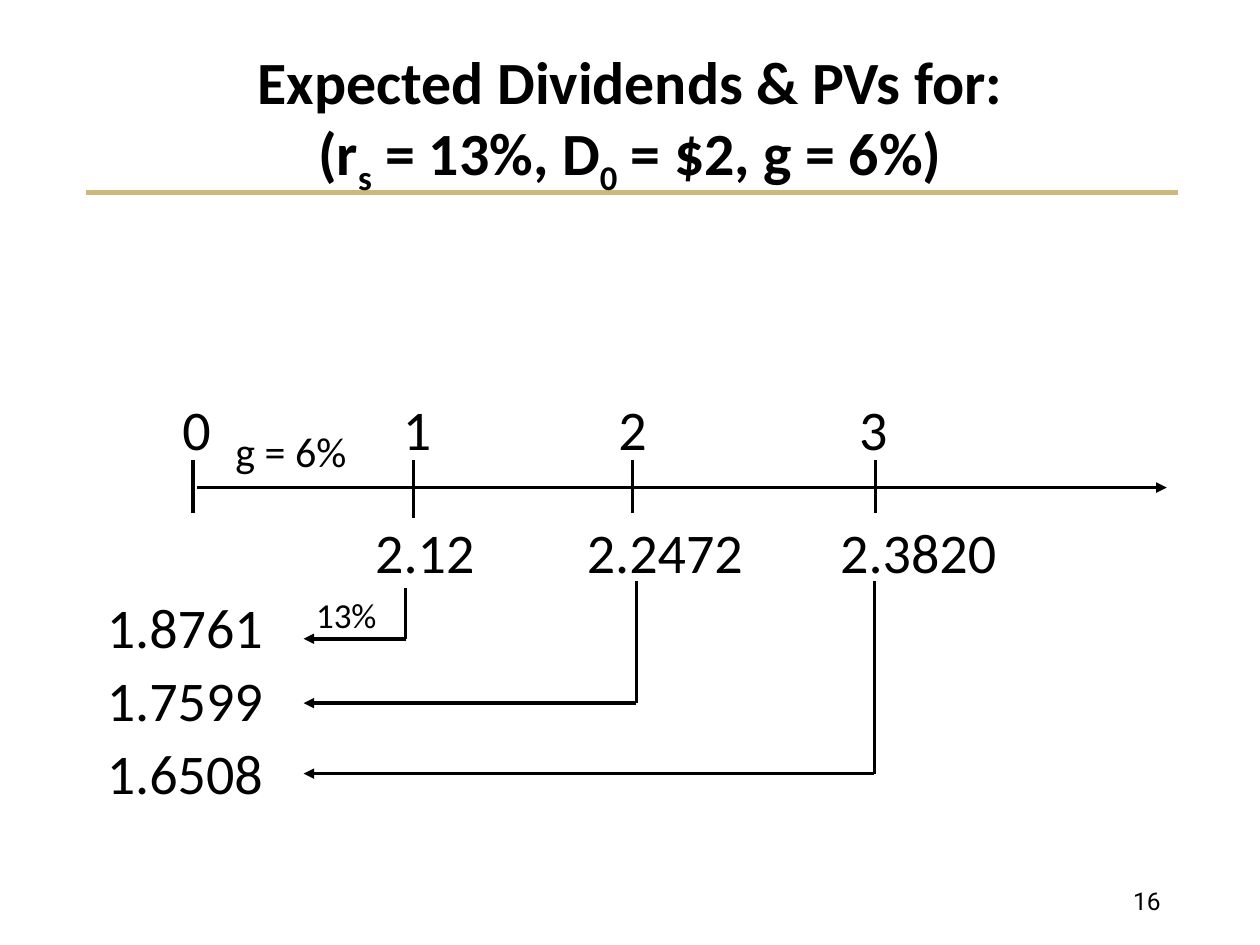
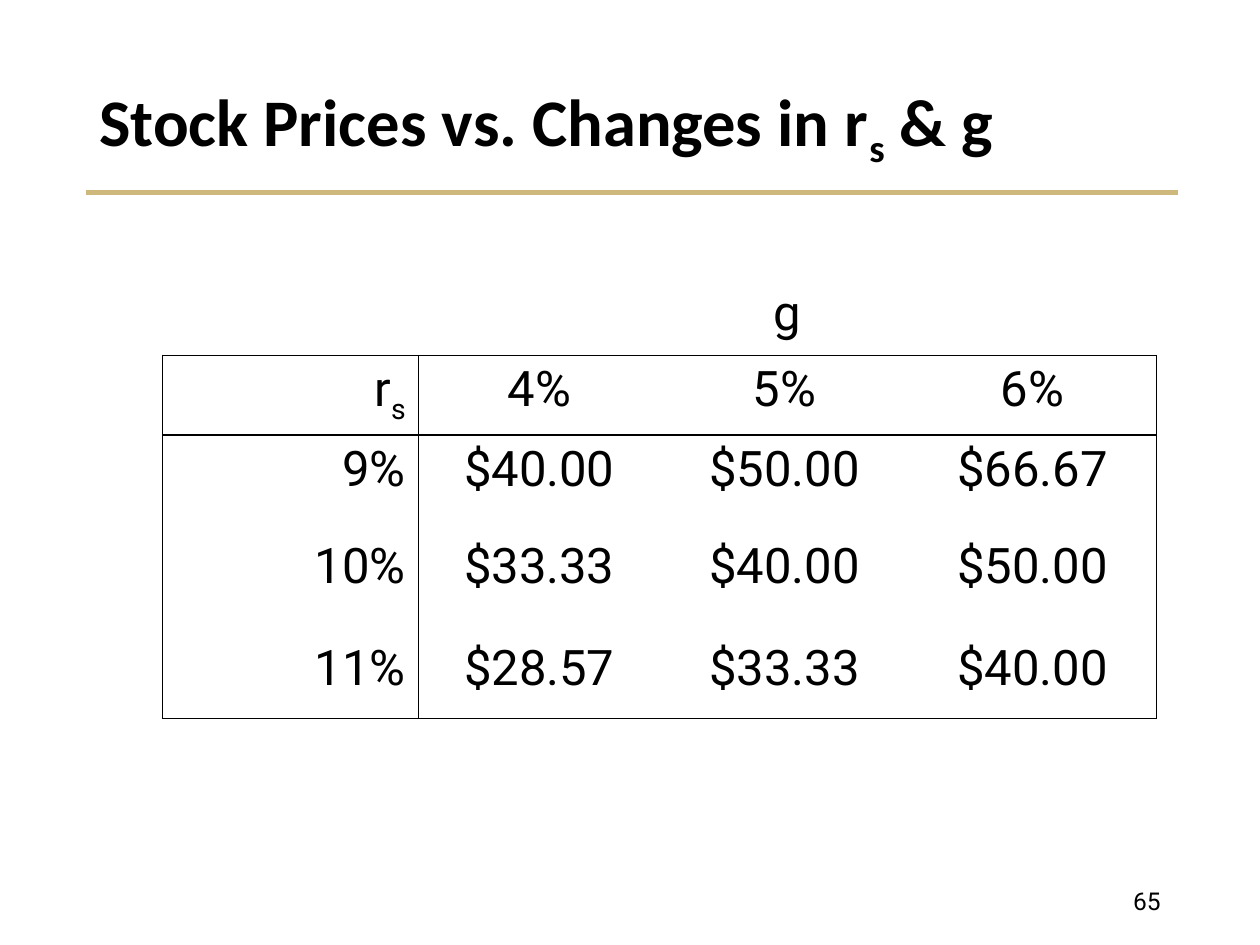
from pptx import Presentation
from pptx.dml.color import RGBColor
from pptx.enum.shapes import MSO_CONNECTOR as Connector
from pptx.enum.text import MSO_ANCHOR as Anchor, PP_ALIGN as Align
from pptx.oxml.ns import qn
from pptx.util import Inches, Pt
from lxml.etree import SubElement, Element

COLORS = {"ink": "000000", "gold": "CFB87C"}
HEADING, BODY = "Calibri", "Roboto"


class Deck:
    """Shared style plus the slide being built."""

    def __init__(self):
        self.prs = Presentation()
        self.prs.slide_width, self.prs.slide_height = Inches(10), Inches(7.5)
        self.slide = None

    def new_slide(self, title, size, number, align=Align.LEFT):
        self.slide = self.prs.slides.add_slide(self.prs.slide_layouts[6])
        self.line((0.68, 1.53), (9.35, 1.53), "gold", 3)
        self.text((0.69, 0.4, 8.62, 1.13), title, size, bold=True, align=align,
                  anchor=Anchor.MIDDLE, spacing=0.9)
        self.text((7.06, 6.95, 2.25, 0.4), [[str(number)]], 14, BODY,
                  align=Align.RIGHT, anchor=Anchor.MIDDLE)

    def runs(self, paragraph, lines, size, font, bold=False):
        """Each line is a list of runs; a run starting with "_" is a subscript."""
        for index, line in enumerate(lines):
            if index:
                paragraph.add_line_break()
            for words in line:
                run = paragraph.add_run()
                run.text = words.removeprefix("_")
                run.font.size, run.font.name, run.font.bold = Pt(size), font, bold
                run.font.color.rgb = RGBColor.from_string(COLORS["ink"])
                if words.startswith("_"):
                    run.font._element.set("baseline", "-25000")

    def text(self, box, lines, size, font=HEADING, bold=False,
             align=Align.LEFT, anchor=Anchor.TOP, spacing=1.0):
        frame = self.slide.shapes.add_textbox(*map(Inches, box)).text_frame
        frame.word_wrap, frame.vertical_anchor = True, anchor
        paragraph = frame.paragraphs[0]
        paragraph.alignment, paragraph.line_spacing = align, spacing
        self.runs(paragraph, lines, size, font, bold)

    def line(self, start, end, color="ink", width=2, arrow=False):
        rule = self.slide.shapes.add_connector(
            Connector.STRAIGHT, *map(Inches, (*start, *end)))
        rule.line.color.rgb = RGBColor.from_string(COLORS[color])
        rule.line.width = Pt(width)
        if arrow:
            SubElement(rule.line._get_or_add_ln(), qn("a:tailEnd"), type="triangle")
        SubElement(rule._element.spPr, qn("a:effectLst"))

    def borders(self, cell, sides):
        """Draw the named sides of a cell and clear the others."""
        properties = cell._tc.get_or_add_tcPr()
        for position, side in enumerate("LRTB"):
            edge = Element(qn(f"a:ln{side}"), w=str(Pt(1)))
            if side in sides:
                fill = SubElement(edge, qn("a:solidFill"))
                SubElement(fill, qn("a:srgbClr"), val=COLORS["ink"])
            else:
                SubElement(edge, qn("a:noFill"))
            properties.insert(position, edge)

    def table(self, left, top, widths, heights, rows, size):
        """Grid with a caption row above a framed body, header row and stub column."""
        grid = self.slide.shapes.add_table(
            len(rows), len(widths), Inches(left), Inches(top),
            Inches(sum(widths)), Inches(sum(heights))).table
        grid.first_row = grid.horz_banding = False
        for column, width in zip(grid.columns, widths):
            column.width = Inches(width)
        for row, height in zip(grid.rows, heights):
            row.height = Inches(height)
        last_row, last_column = len(rows) - 1, len(widths) - 1
        for r, row in enumerate(rows):
            for c, words in enumerate(row):
                cell = grid.cell(r, c)
                cell.fill.background()
                framed = {"L": r > 0 and c in (0, 1),
                          "R": r > 0 and c in (0, last_column),
                          "T": r in (1, 2),
                          "B": r in (0, 1, last_row)}
                self.borders(cell, [side for side, drawn in framed.items() if drawn])
                if words:
                    paragraph = cell.text_frame.paragraphs[0]
                    paragraph.alignment = Align.CENTER if c else Align.RIGHT
                    self.runs(paragraph, [words], size, BODY)
        grid.cell(0, 1).merge(grid.cell(0, last_column))


def dividends_slide(deck):
    deck.new_slide([["Expected Dividends & PVs for:"],
                    ["(r", "_s", " = 13%, D", "_0", " = $2, g = 6%)"]],
                   34.2, 16, Align.CENTER)

    # Time line: tick position, tick bottom and year label position
    ticks = [(1.53, 4.07, 1.35), (3.28, 4.11, 3.1),
             (5.02, 4.07, 4.81), (6.95, 4.07, 6.72)]
    for year, (tick, bottom, label) in enumerate(ticks):
        deck.line((tick, 3.65), (tick, bottom))
        deck.text((label, 3.08, 0.44, 0.64), [[str(year)]], 32)
    deck.line((1.56, 3.87), (9.26, 3.87), arrow=True)

    # Dividends, each discounted back to its present value
    flows = [("2.12", 2.88, 3.22, 4.67, 5.07, "1.8761"),
             ("2.2472", 4.56, 5.05, 4.61, 5.58, "1.7599"),
             ("2.3820", 6.57, 6.94, 4.61, 6.14, "1.6508")]
    for index, (dividend, left, drop, top, level, value) in enumerate(flows):
        deck.text((left, 4.06, 1.56, 0.64), [[dividend]], 32)
        deck.line((drop, top), (drop, level))
        deck.line((drop, level), (2.41, level), arrow=True)
        deck.text((0.75, 4.65 + 0.58 * index, 1.56, 0.64), [[value]], 32)

    # Growth and discount rates
    deck.text((1.77, 3.33, 1.36, 0.5), [["g = 6%"]], 24)
    deck.text((2.41, 4.66, 0.88, 0.43), [["13%"]], 20)


def prices_slide(deck):
    deck.new_slide([["Stock Prices vs. Changes in r", "_s", " & g"]], 38, 65)

    # Price for each required return and growth rate
    prices = {"9%": ("$40.00", "$50.00", "$66.67"),
              "10%": ("$33.33", "$40.00", "$50.00"),
              "11%": ("$28.57", "$33.33", "$40.00")}
    rows = [[[], ["g"], [], []], [["r", "_s"], ["4%"], ["5%"], ["6%"]]]
    rows += [[[rate], *([price] for price in line)] for rate, line in prices.items()]
    deck.table(1.29, 2.21, (2.03, 1.92, 1.97, 1.97),
               (0.61, 0.61, 0.77, 0.81, 0.67), rows, 28)


def main():
    deck = Deck()
    dividends_slide(deck)
    prices_slide(deck)
    deck.prs.save("out.pptx")


if __name__ == "__main__":
    main()
